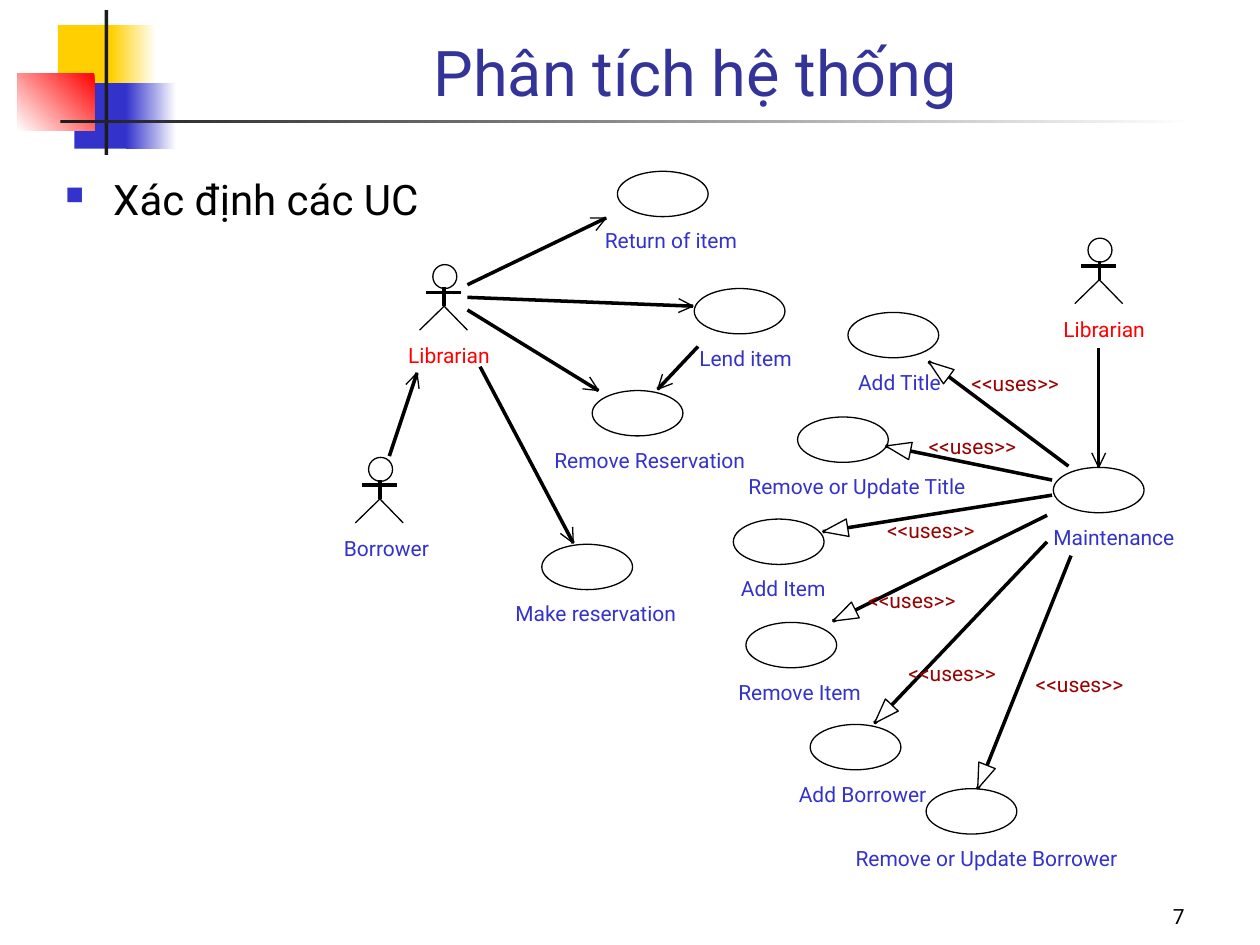
import math
from dataclasses import dataclass

import pptx
import pptx.dml.color
import pptx.enum.shapes
import pptx.enum.text
import pptx.oxml
import pptx.oxml.ns
import pptx.util

SHAPE = pptx.enum.shapes.MSO_SHAPE
ALIGN = pptx.enum.text.PP_ALIGN
ANCHOR = pptx.enum.text.MSO_ANCHOR
CELL = pptx.util.Inches(0.1)  # the slide is a grid of 100 columns by 75 rows


@dataclass(frozen=True)
class Theme:
    font: str = "Roboto"
    title_size: int = 36
    body_size: int = 24
    label_size: int = 12
    title: str = "333399"
    blue: str = "3333CC"
    yellow: str = "FFCF01"
    red: str = "FF0000"
    uses: str = "990000"
    dark: str = "1C1C1C"
    black: str = "000000"
    white: str = "FFFFFF"


THEME = Theme()


@dataclass(frozen=True)
class Box:
    """A region in grid columns and rows."""
    col: float
    row: float
    width: float
    height: float

    def point(self, col, row):
        return round((self.col + col) * CELL), round((self.row + row) * CELL)

    def area(self, col, row, width, height):
        return (*self.point(col, row), round(width * CELL), round(height * CELL))

    def whole(self):
        return self.area(0, 0, self.width, self.height)


def rgb(colour):
    return pptx.dml.color.RGBColor.from_string(colour)


def write(box, text, size=THEME.label_size, colour=THEME.blue, align=ALIGN.LEFT,
          anchor=ANCHOR.TOP, inset=(0.1, 0.05), wrap=True, bullet=False):
    frame = box.text_frame
    frame.word_wrap = wrap
    frame.vertical_anchor = anchor
    frame.margin_left = frame.margin_right = pptx.util.Inches(inset[0])
    frame.margin_top = frame.margin_bottom = pptx.util.Inches(inset[1])
    para = frame.paragraphs[0]
    para.alignment = align
    para.space_before = pptx.util.Pt(0)
    if bullet:
        add_bullet(para)
    span = para.add_run()
    span.text = text
    span.font.name = THEME.font
    span.font.size = pptx.util.Pt(size)
    span.font.color.rgb = rgb(colour)


def add_bullet(para):
    props = para._p.get_or_add_pPr()
    indent = pptx.util.Inches(0.38)
    props.set("marL", str(indent))
    props.set("indent", str(-indent))
    space = pptx.oxml.ns.nsdecls("a")
    for element in (f'<a:buClr {space}><a:srgbClr val="{THEME.blue}"/></a:buClr>',
                    f'<a:buSzPct {space} val="60000"/>',
                    f'<a:buChar {space} char="■"/>'):
        props.append(pptx.oxml.parse_xml(element))


def outline(shape, fill=None):
    """Thin black outline, filled or hollow."""
    shape.shadow.inherit = False
    shape.line.color.rgb = rgb(THEME.black)
    shape.line.width = pptx.util.Pt(0)
    if fill:
        shape.fill.solid()
        shape.fill.fore_color.rgb = rgb(fill)
    else:
        shape.fill.background()
    return shape


def add_oval(page, place, fill=None):
    return outline(page.shapes.add_shape(SHAPE.OVAL, *place), fill)


def add_line(page, start, end):
    line = page.shapes.add_connector(pptx.enum.shapes.MSO_CONNECTOR.STRAIGHT, *start, *end)
    line.line.color.rgb = rgb(THEME.black)
    line.line.width = pptx.util.Pt(0)
    space = pptx.oxml.ns.nsdecls("a")
    line._element.spPr.append(pptx.oxml.parse_xml(f"<a:effectLst {space}/>"))
    return line


def add_outline(page, points, fill=None):
    builder = page.shapes.build_freeform(*points[0])
    builder.add_line_segments(points[1:], close=fill is not None)
    return outline(builder.convert_to_shape(), fill)


def add_label(page, place, text, colour=THEME.blue):
    write(page.shapes.add_textbox(*place), text, colour=colour, inset=(0, 0), wrap=False)


def add_arrow(page, box, start, tip, hollow=False, target=None):
    """Line with an open head, or with a hollow triangle for generalisation."""
    line = add_line(page, box.point(*start), box.point(*tip))
    if target is not None:
        line.end_connect(target, 0)
    length, half = (2, 0.7) if hollow else (1.15, 0.55)
    angle = math.atan2(tip[1] - start[1], tip[0] - start[0])
    back = (tip[0] - length * math.cos(angle), tip[1] - length * math.sin(angle))
    barbs = [box.point(back[0] - side * math.sin(angle), back[1] + side * math.cos(angle))
             for side in (half, -half)]
    add_outline(page, [barbs[0], box.point(*tip), barbs[1]], THEME.white if hollow else None)


def add_use_case(page, box, col, row, text, label_col, label_width):
    oval = add_oval(page, box.area(col, row, 7.2, 3.6), THEME.white)
    add_label(page, box.area(label_col, row + 4.5, label_width, 2), text)
    return oval


def add_actor(page, box, text, colour):
    """Stick figure with its name below."""
    add_oval(page, box.area(1.05, 0, 1.9, 1.9))
    add_line(page, box.point(1.95, 1.8), box.point(1.95, 3.3))
    add_line(page, box.point(0.5, 2.2), box.point(3.3, 2.2))
    add_outline(page, [box.point(0, 5.2), box.point(1.95, 3.3), box.point(3.8, 5.2)])
    add_label(page, box.area(-0.9, 6.2, box.width, 2), text, colour)


def add_ornament(page, box):
    """Coloured blocks, upright bar and fading rule of the header."""
    for place, colour, angle in (
            ((3.2, 1.2, 4.8, 5.2), THEME.yellow, None),
            ((7.4, 1.2, 3.6, 5.2), THEME.yellow, 0),
            ((4.5, 5.8, 4.6, 5.2), THEME.blue, None),
            ((8.6, 5.8, 4, 5.2), THEME.blue, 0),
            ((0, 5, 6.1, 4.6), THEME.red, 225),
            ((6.9, 0, 0.3, box.height), THEME.dark, None),
            ((3.4, 8.7, 90, 0.3), THEME.dark, 0)):
        block = page.shapes.add_shape(SHAPE.RECTANGLE, *box.area(*place))
        block.shadow.inherit = False
        block.line.fill.background()
        if angle is None:
            block.fill.solid()
            block.fill.fore_color.rgb = rgb(colour)
        else:
            block.fill.gradient()
            block.fill.gradient_angle = angle
            for stop, tint in zip(block.fill.gradient_stops, (colour, THEME.white)):
                stop.color.rgb = rgb(tint)


def add_title(page, box, text):
    title = page.shapes.title
    title.left, title.top, title.width, title.height = box.whole()
    write(title, text, size=THEME.title_size, colour=THEME.title,
          align=ALIGN.CENTER, anchor=ANCHOR.BOTTOM)


def add_lending(page, box):
    for case in ((22, 0.6, "Return of item", 21, 11.3),
                 (28.1, 9.9, "Lend item", 28.5, 7.8),
                 (20, 18, "Remove Reservation", 17, 16),
                 (16, 30.2, "Make reservation", 13.9, 13.6)):
        add_use_case(page, box, *case)
    add_actor(page, Box(box.col + 6.3, box.row + 8, 7, 8.2), "Librarian", THEME.red)
    add_actor(page, Box(box.col + 1.2, box.row + 23.3, 7.4, 8.2), "Borrower", THEME.blue)
    for start, tip in (((10.1, 9.6), (21.1, 4.3)), ((10.1, 10.6), (28, 11.3)),
                       ((10.1, 11.6), (20.5, 18)), ((11.1, 16.1), (18.5, 30.1)),
                       ((28.4, 14.5), (25.2, 17.9)), ((3.9, 23.2), (6.1, 16.6))):
        add_arrow(page, box, start, tip)


def add_maintenance(page, box):
    for case in ((9.3, 6.8, "Add Title", 10.1, 6.9),
                 (5.3, 15.1, "Remove or Update Title", 1.4, 18.4),
                 (0.2, 23.2, "Add Item", 0.8, 7.2),
                 (1.2, 31.4, "Remove Item", 0.6, 10.4),
                 (6.3, 39.5, "Add Borrower", 5.4, 11),
                 (15.5, 44.6, "Remove or Update Borrower", 9.9, 22.5)):
        add_use_case(page, box, *case)
    hub = add_use_case(page, box, 25.6, 19.1, "Maintenance", 25.6, 10.2)
    add_actor(page, Box(box.col + 27.3, box.row + 0.9, 7, 8.2), "Librarian", THEME.red)
    add_arrow(page, box, (29.2, 9.6), (29.2, 19.1), target=hub)
    for start, tip, label in (((26.8, 19), (15.7, 10.7), (19.1, 11.4)),
                              ((25.5, 20.1), (12.3, 17.4), (15.7, 16.4)),
                              ((25.5, 21.3), (7.3, 24.2), (12.4, 23.1)),
                              ((25.1, 22.9), (8.1, 31.3), (10.9, 28.6)),
                              ((25.1, 25), (11.4, 39.4), (14.1, 34.4)),
                              ((27, 26.1), (19.6, 44.6), (24.2, 35.3))):
        add_arrow(page, box, start, tip, hollow=True)
        add_label(page, box.area(*label, 7.4, 2), "<<uses>>", THEME.uses)


def main():
    deck = pptx.Presentation()
    deck.slide_width, deck.slide_height = 100 * CELL, 75 * CELL
    page = deck.slides.add_slide(deck.slide_layouts[5])
    add_ornament(page, Box(1.4, 0.8, 93.4, 11.5))
    add_title(page, Box(12.6, 0.8, 85.2, 8.4), "Phân tích hệ thống")
    write(page.shapes.add_textbox(*Box(4.2, 13.3, 49.2, 57.5).whole()), "Xác định các UC",
          size=THEME.body_size, colour=THEME.black, bullet=True)
    add_maintenance(page, Box(58, 18, 36, 52))
    add_lending(page, Box(27, 13, 34, 38))
    # Page number
    write(page.shapes.add_textbox(*Box(74.2, 69.2, 20.8, 5).whole()), "7",
          colour=THEME.black, align=ALIGN.RIGHT, anchor=ANCHOR.BOTTOM)
    deck.save("out.pptx")


if __name__ == "__main__":
    main()
